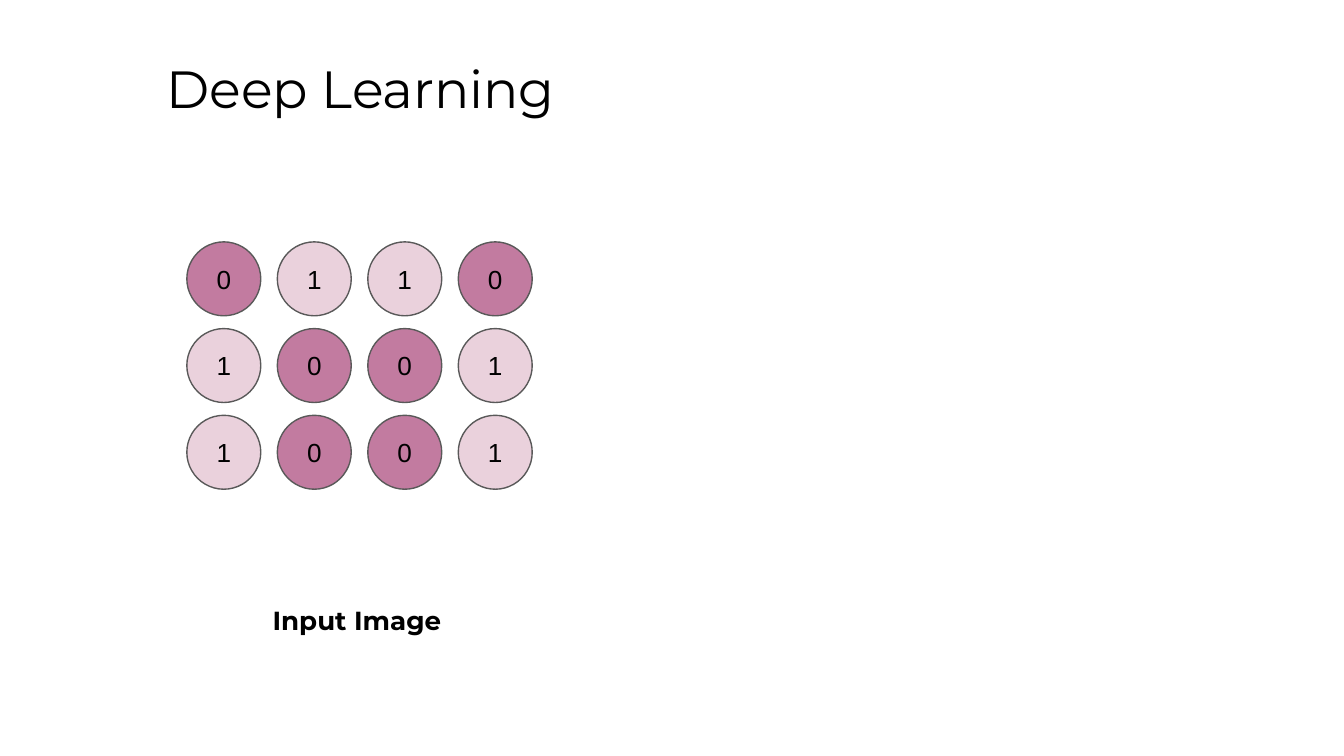
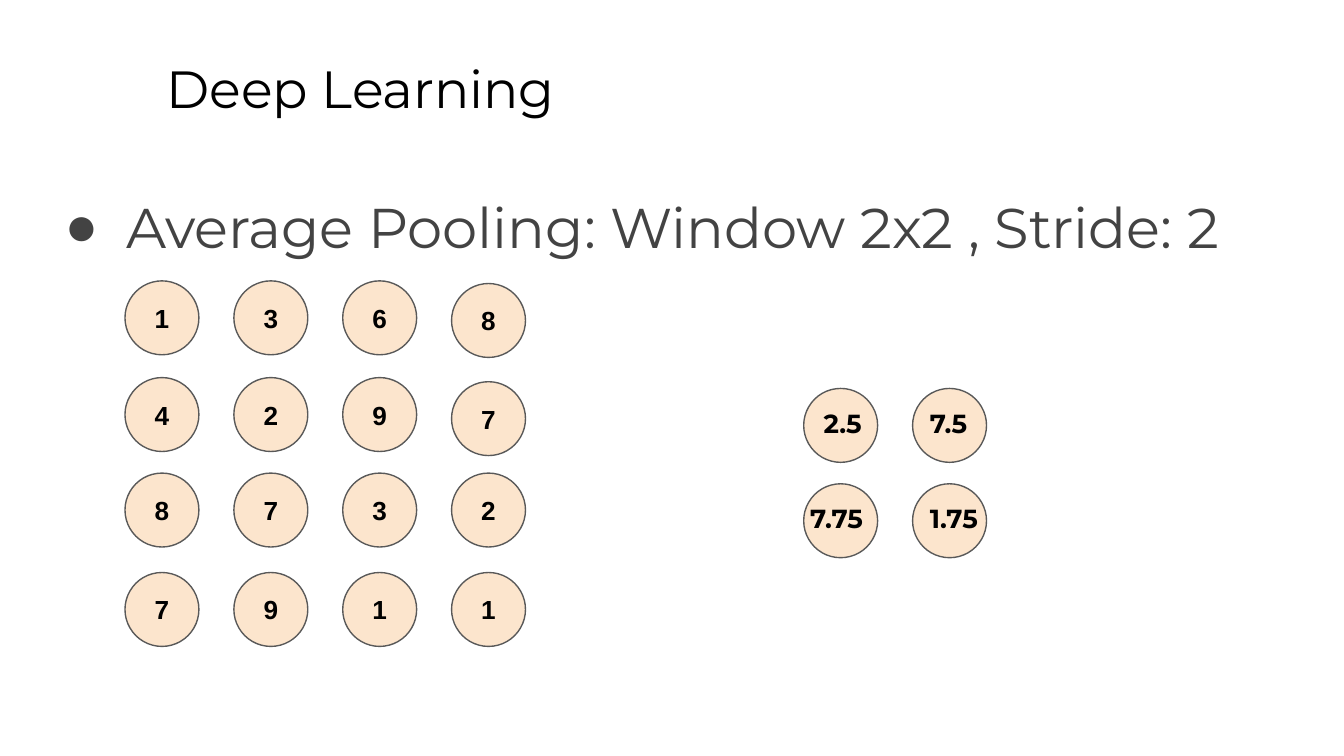
from dataclasses import dataclass

from lxml.etree import SubElement
from pptx import Presentation
from pptx.dml.color import RGBColor
from pptx.enum.shapes import MSO_SHAPE
from pptx.enum.text import MSO_ANCHOR, MSO_AUTO_SIZE, PP_ALIGN
from pptx.oxml.ns import qn
from pptx.util import Inches, Pt


@dataclass(frozen=True)
class Theme:
    text_font: str = "Montserrat"
    digit_font: str = "Arial"
    black: str = "000000"
    gray: str = "434343"
    outline: str = "595959"
    mauve: str = "C27BA0"
    pink: str = "EAD1DC"
    peach: str = "FCE5CD"
    title_size: int = 28
    body_size: int = 30
    label_size: int = 14
    diameter: float = 0.55
    inset: float = 0.1


T = Theme()


def rgb(value):
    return RGBColor.from_string(value)


def place(sp, box):
    sp.left, sp.top, sp.width, sp.height = map(Inches, box)


def write(sp, text, size, font=T.text_font, color=T.black, bold=False,
          align=PP_ALIGN.LEFT, anchor=MSO_ANCHOR.TOP):
    tf = sp.text_frame
    tf.word_wrap = True
    tf.auto_size = MSO_AUTO_SIZE.NONE
    tf.vertical_anchor = anchor
    tf.margin_left = tf.margin_right = Inches(T.inset)
    tf.margin_top = tf.margin_bottom = Inches(T.inset)
    p = tf.paragraphs[0]
    p.alignment = align
    r = p.add_run()
    r.text = text
    r.font.name = font
    r.font.size = Pt(size)
    r.font.bold = bold
    r.font.color.rgb = rgb(color)
    return p


def add_title(s, text):
    place(s.shapes.title, (1.14, 0.32, 8.52, 0.63))
    write(s.shapes.title, text, T.title_size)


def add_bullet(s, text, box):
    body = s.placeholders[1]
    place(body, box)
    p = write(body, text, T.body_size, color=T.gray)
    p.line_spacing = 1.15
    p.space_before = Pt(0)
    pPr = p._p.get_or_add_pPr()
    pPr.set("marL", str(Inches(0.5)))
    pPr.set("indent", str(Inches(-0.46)))
    color = SubElement(pPr, qn("a:buClr"))
    SubElement(color, qn("a:srgbClr"), val=T.gray)
    SubElement(pPr, qn("a:buFont"), typeface=T.digit_font)
    SubElement(pPr, qn("a:buChar"), char="●")


def add_label(s, text, box):
    sp = s.shapes.add_textbox(*map(Inches, box))
    write(sp, text, T.label_size, bold=True)


def add_circle(s, left, top, fill, text="", bold=False):
    d = T.diameter
    sp = s.shapes.add_shape(MSO_SHAPE.OVAL, *map(Inches, (left, top, d, d)))
    sp.shadow.inherit = False
    sp.fill.solid()
    sp.fill.fore_color.rgb = rgb(fill)
    sp.line.color.rgb = rgb(T.outline)
    sp.line.width = Pt(0.75)
    if text:
        write(sp, text, T.label_size, T.digit_font, bold=bold,
              align=PP_ALIGN.CENTER, anchor=MSO_ANCHOR.MIDDLE)


def grid_cells(rows, lefts, tops):
    for row, y in zip(rows, tops):
        for value, x in zip(row, lefts):
            yield value, x, y


def steps(start, end, count):
    return [start + (end - start) * i / (count - 1) for i in range(count)]


def input_grid(s, left, top):
    fills = {"0": T.mauve, "1": T.pink}
    rows = ("0110", "1001", "1001")
    lefts = steps(left, left + 2.02, 4)
    tops = steps(top, top + 1.29, 3)
    for digit, x, y in grid_cells(rows, lefts, tops):
        add_circle(s, x, y, fills[digit], digit)


def pooling_grid(s, left, top):
    blocks = (
        (("136", "429", "873", "791"), steps(left, left + 1.62, 3), (0, 0.72, 1.43, 2.17)),
        (("8", "7", "2", "1"), [left + 2.43], (0.02, 0.75, 1.43, 2.17)),
    )
    for rows, lefts, offsets in blocks:
        tops = [top + offset for offset in offsets]
        for digit, x, y in grid_cells(rows, lefts, tops):
            add_circle(s, x, y, T.peach, digit, bold=True)


def average_grid(s, left, top):
    rows = ((("2.5", 0.05, 0.55), ("7.5", 0.03, 0.64)),
            (("7.75", -0.05, 0.64), ("1.75", 0.03, 0.64)))
    cells = list(grid_cells(rows, (left, left + 0.81), (top, top + 0.71)))
    for _, x, y in cells:
        add_circle(s, x, y, T.peach)
    for (text, shift, width), x, y in cells:
        add_label(s, text, (x + shift, y + 0.04, width, 0.51))


def input_slide(prs):
    s = prs.slides.add_slide(prs.slide_layouts.get_by_name("Title Only"))
    add_title(s, "Deep Learning")
    input_grid(s, 1.39, 1.8)
    add_label(s, "Input Image", (1.93, 4.4, 1.6, 0.55))


def pooling_slide(prs):
    s = prs.slides.add_slide(prs.slide_layouts.get_by_name("Title and Content"))
    add_title(s, "Deep Learning")
    add_bullet(s, "Average Pooling: Window 2x2 , Stride: 2", (0.34, 1.26, 9.66, 3.74))
    pooling_grid(s, 0.93, 2.09)
    average_grid(s, 5.98, 2.89)


def main():
    prs = Presentation()
    prs.slide_width = Inches(10)
    prs.slide_height = prs.slide_width * 9 // 16
    input_slide(prs)
    pooling_slide(prs)
    prs.save("out.pptx")


if __name__ == "__main__":
    main()
